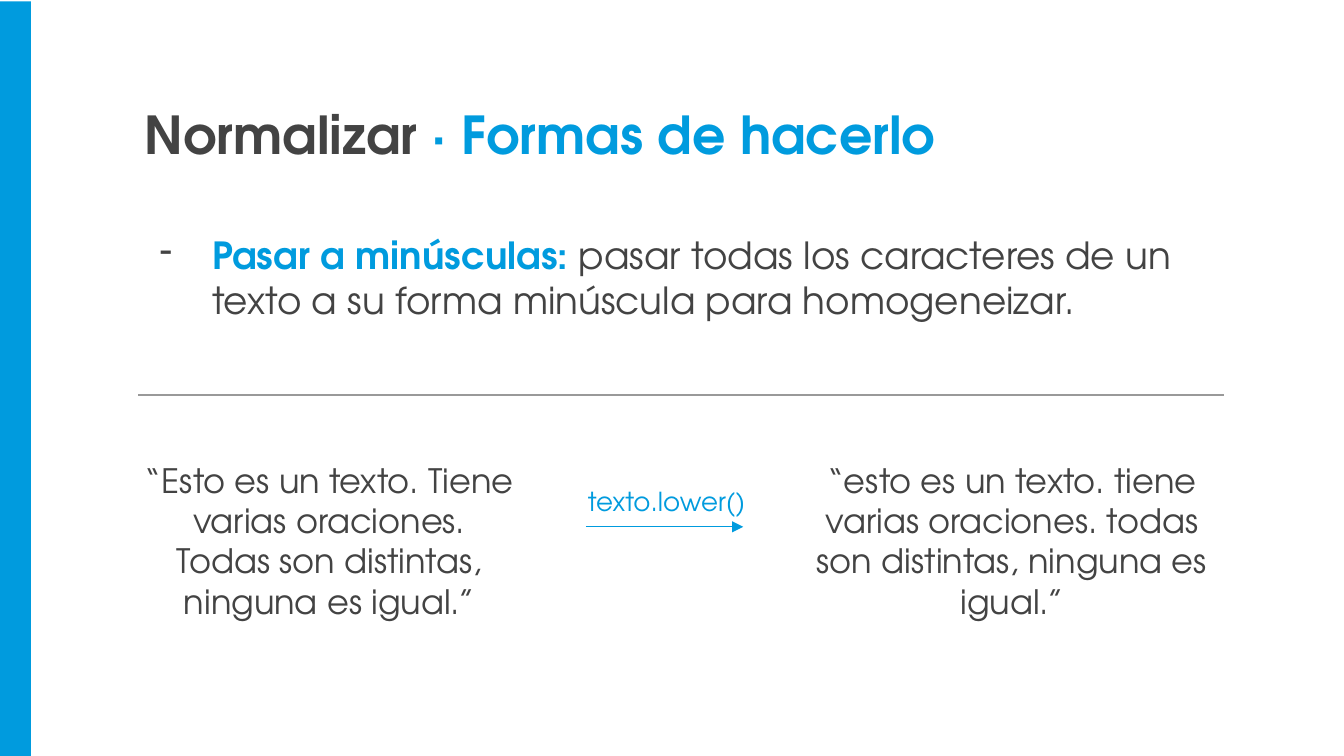
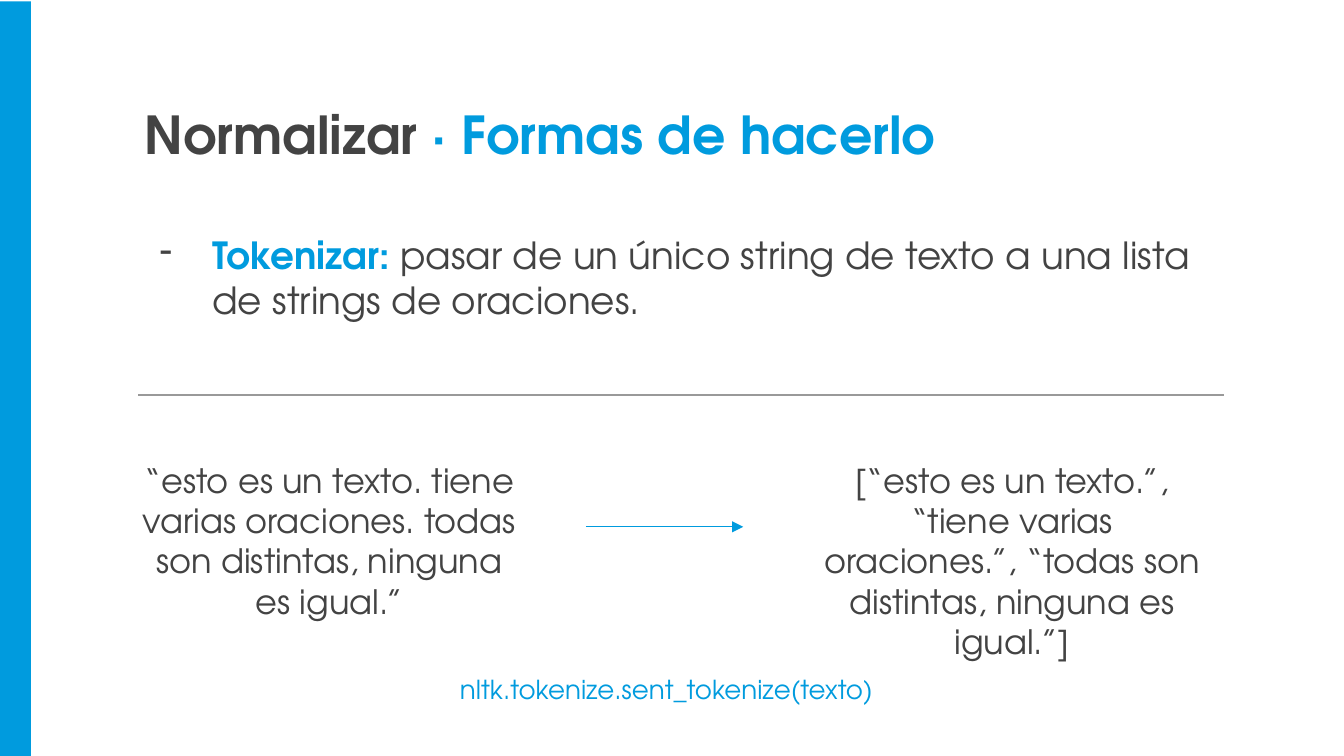
"""Build two slides on ways to normalize a text."""
import pptx
import pptx.util
import pptx.dml.color
import pptx.enum.shapes
import pptx.enum.text
import pptx.oxml.ns
from lxml import etree

PX = 4572
BLUE = pptx.dml.color.RGBColor(0x00, 0x9B, 0xDE)
DARK = pptx.dml.color.RGBColor(0x43, 0x43, 0x43)
GRAY = pptx.dml.color.RGBColor(0x99, 0x99, 0x99)
FONT = "TeX Gyre Adventor"
CENTER = pptx.enum.text.PP_ALIGN.CENTER
qn = pptx.oxml.ns.qn


def add_text(slide, place, size, runs, align=None, dash=False):
    box = slide.shapes.add_textbox(*[n * PX for n in place])
    frame = box.text_frame
    frame.word_wrap = True
    frame.margin_left = frame.margin_right = 20 * PX
    frame.margin_top = frame.margin_bottom = 20 * PX
    para = frame.paragraphs[0]
    if align is not None:
        para.alignment = align
    if dash:
        props = para._p.get_or_add_pPr()
        props.set("marL", str(100 * PX))
        props.set("indent", str(-78 * PX))
        tint = etree.SubElement(props, qn("a:buClr"))
        etree.SubElement(tint, qn("a:srgbClr"), val=str(DARK))
        etree.SubElement(props, qn("a:buChar"), char="-")
        para.space_after = pptx.util.Pt(10)
    para.font.name = FONT
    para.font.size = pptx.util.Pt(size)
    for words, color, bold in runs:
        run = para.add_run()
        run.text = words
        run.font.color.rgb = color
        run.font.bold = bold


def add_line(slide, left, right, y, color):
    line = slide.shapes.add_connector(
        pptx.enum.shapes.MSO_CONNECTOR.STRAIGHT,
        left * PX, y * PX, right * PX, y * PX)
    line.line.color.rgb = color
    line.line.width = pptx.util.Pt(0.75)
    etree.SubElement(line._element.spPr, qn("a:effectLst"))
    return line


LOWER = "“esto es un texto. tiene varias oraciones. todas son distintas, ninguna es igual.”"
PAGES = [
    ("Pasar a minúsculas: ",
     "pasar todas los caracteres de un texto a su forma minúscula para homogeneizar.",
     "“Esto es un texto. Tiene varias oraciones. Todas son distintas, ninguna es igual.”",
     LOWER,
     "texto.lower()", (854, 702, 276, 82)),
    ("Tokenizar: ",
     "pasar de un único string de texto a una lista de strings de oraciones.",
     LOWER,
     "[“esto es un texto.”, “tiene varias oraciones.”, “todas son distintas, ninguna es igual.”]",
     "nltk.tokenize.sent_tokenize(texto)", (588, 982, 808, 82)),
]

deck = pptx.Presentation()
deck.slide_width = 2000 * PX
deck.slide_height = 1125 * PX

for term, gloss, before, after, code, spot in PAGES:
    slide = deck.slides.add_slide(deck.slide_layouts[6])
    band = slide.shapes.add_shape(
        pptx.enum.shapes.MSO_SHAPE.RECTANGLE, 0, 2 * PX, 46 * PX, 1123 * PX)
    band.shadow.inherit = False
    band.fill.solid()
    band.fill.fore_color.rgb = BLUE
    band.line.fill.background()

    add_text(slide, (196, 326, 1618, 190), 20,
             [(term, BLUE, True), (gloss, DARK, False)], dash=True)
    add_text(slide, (196, 132, 1604, 128), 28,
             [("Normalizar ", DARK, True), ("· Formas de hacerlo", BLUE, True)])
    add_text(slide, spot, 14, [(code, BLUE, False)], CENTER)
    add_text(slide, (192, 664, 596, 296), 18, [(before, DARK, False)], CENTER)
    add_text(slide, (1196, 664, 620, 296), 18, [(after, DARK, False)], CENTER)

    add_line(slide, 206, 1822, 588, GRAY)
    arrow = add_line(slide, 872, 1106, 784, BLUE)
    etree.SubElement(arrow.line._get_or_add_ln(), qn("a:tailEnd"),
                     type="triangle", w="med", len="med")

deck.save("out.pptx")
